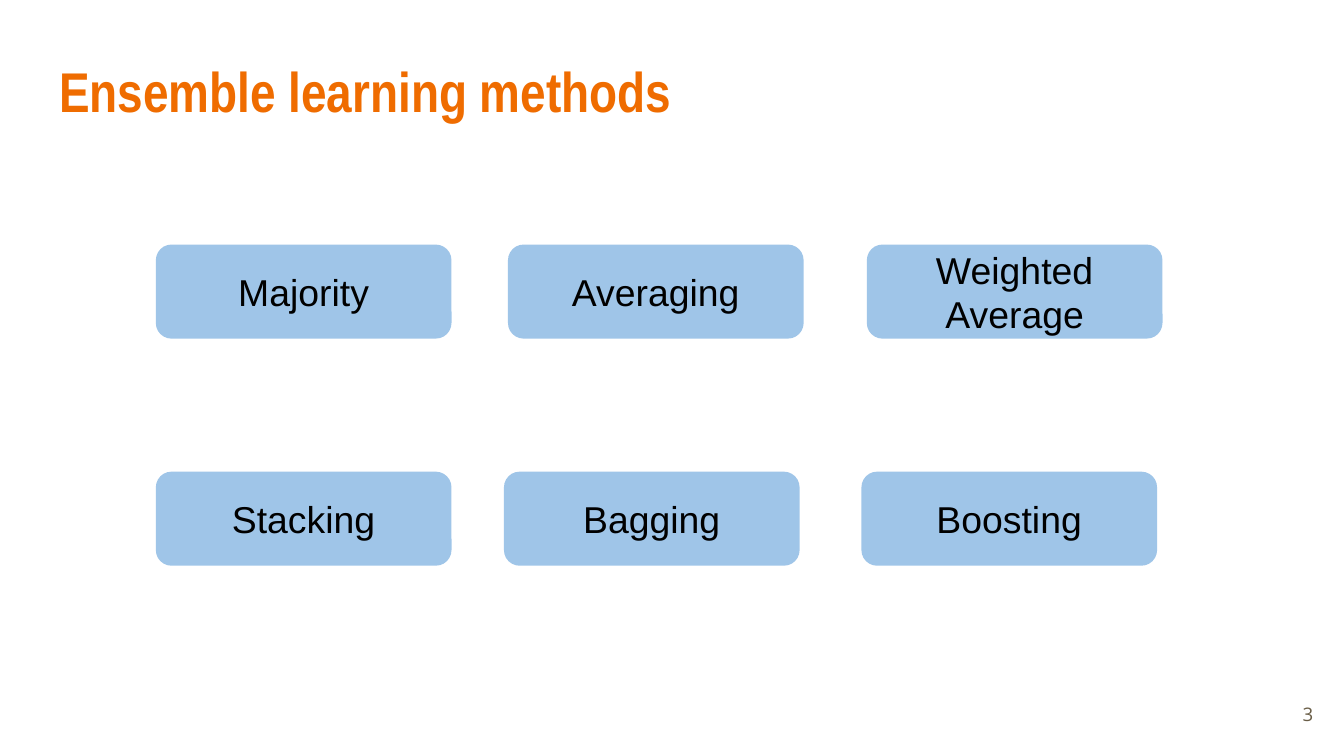
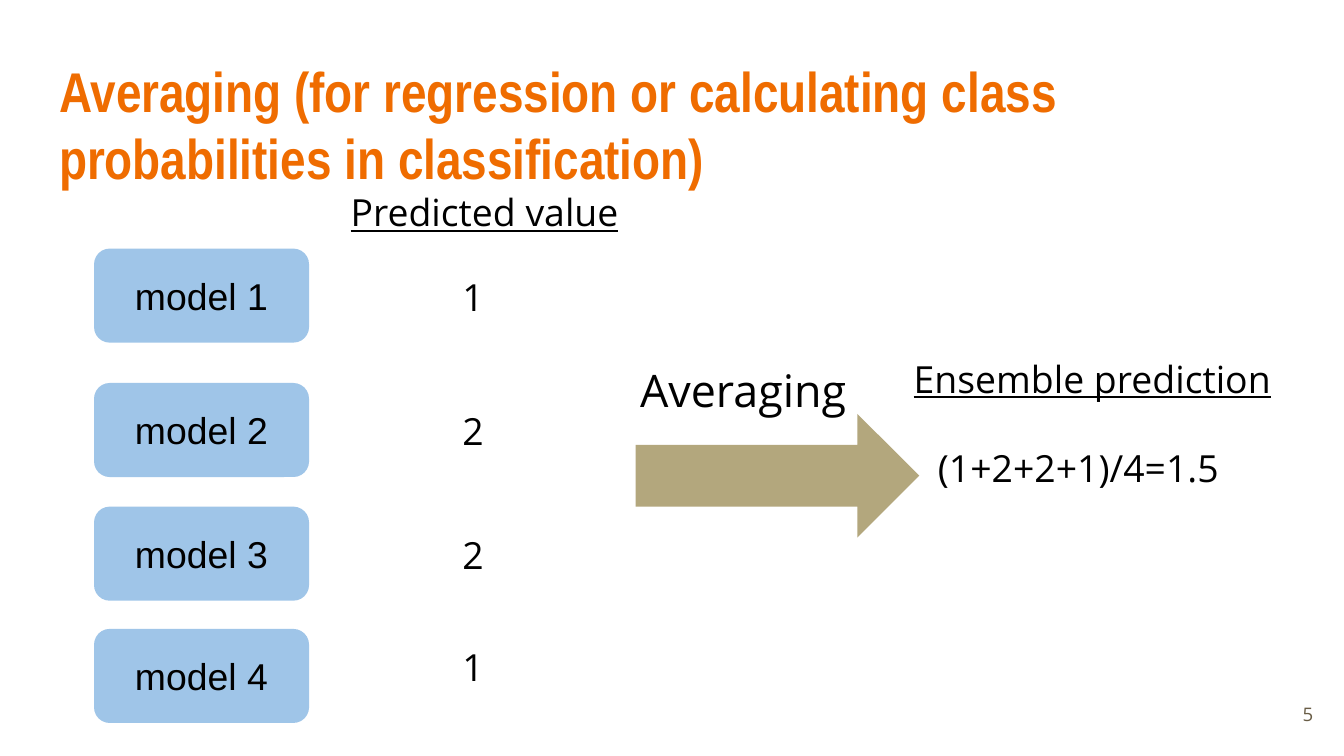
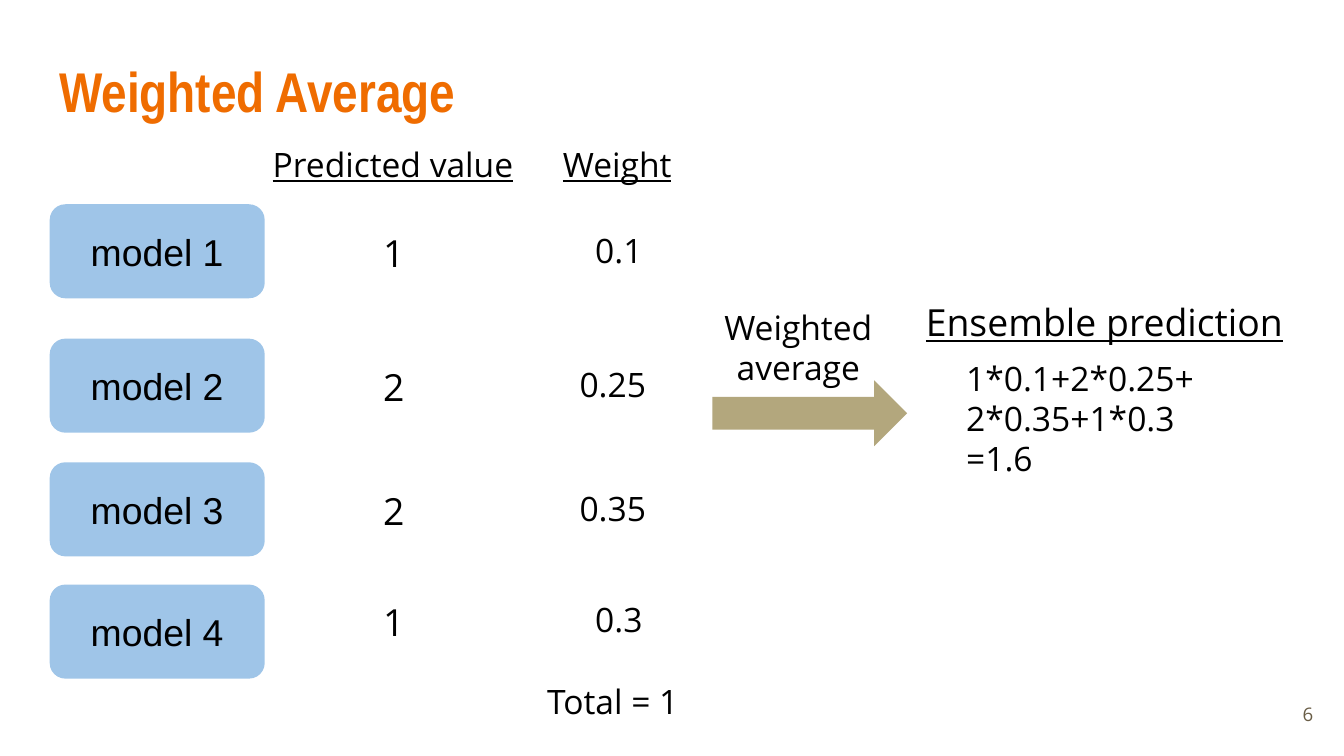
"""Build three slides on ensemble learning methods."""
from dataclasses import dataclass

from pptx import Presentation
from pptx.dml.color import RGBColor
from pptx.enum.shapes import MSO_SHAPE as Preset
from pptx.enum.text import MSO_ANCHOR as Anchor, MSO_AUTO_SIZE as AutoSize, PP_ALIGN as Align
from pptx.presentation import Presentation as Deck
from pptx.slide import Slide
from pptx.text.text import TextFrame
from pptx.util import Inches, Pt


@dataclass(frozen=True)
class TextStyle:
    size: int
    font: str = "Open Sans"
    color: str = "000000"
    bold: bool = False
    underline: bool = False
    align: Align = Align.LEFT
    anchor: Anchor = Anchor.TOP


@dataclass(frozen=True)
class Theme:
    card_fill: str = "9FC5E8"
    arrow_fill: str = "B3A77D"
    title: TextStyle = TextStyle(30, "Arial Narrow", "EF6C00", bold=True)
    card: TextStyle = TextStyle(20, "Arial", align=Align.CENTER, anchor=Anchor.MIDDLE)
    number: TextStyle = TextStyle(10, color="695D46", align=Align.RIGHT, anchor=Anchor.MIDDLE)
    heading: TextStyle = TextStyle(20, underline=True)
    small_heading: TextStyle = TextStyle(18, underline=True)
    value: TextStyle = TextStyle(20, align=Align.CENTER)
    small_value: TextStyle = TextStyle(18, align=Align.CENTER)
    arrow_label: TextStyle = TextStyle(24, align=Align.CENTER)
    formula: TextStyle = TextStyle(20)
    small_formula: TextStyle = TextStyle(18)


@dataclass(frozen=True)
class Area:
    left: float
    top: float
    width: float
    height: float

    def lengths(self) -> tuple[Inches, ...]:
        return tuple(map(Inches, (self.left, self.top, self.width, self.height)))


@dataclass(frozen=True)
class Label:
    text: str
    area: Area
    style: TextStyle


THEME = Theme()
SLIDE_WIDTH = Inches(10)
SLIDE_HEIGHT = SLIDE_WIDTH * 9 // 16
TITLE_AREA = Area(0.34, 0.32, 9.32, 1.25)
NUMBER_AREA = Area(9.27, 5.1, 0.6, 0.43)
CARD_HEIGHT = 0.7
MODEL_STEPS = (0, 1, 1.92, 2.83)
VALUE_STEPS = (0.09, 1.09, 2.01, 2.84)
PREDICTIONS = ("1", "2", "2", "1")


def write(frame: TextFrame, text: str, style: TextStyle) -> None:
    frame.text = text
    frame.word_wrap = True
    frame.auto_size = AutoSize.NONE
    frame.vertical_anchor = style.anchor
    frame.margin_left = frame.margin_right = Inches(0.1)
    frame.margin_top = frame.margin_bottom = Inches(0.1)
    for para in frame.paragraphs:
        para.alignment = style.align
        for span in para.runs:
            span.font.size = Pt(style.size)
            span.font.name = style.font
            span.font.bold = style.bold
            span.font.underline = style.underline
            span.font.color.rgb = RGBColor.from_string(style.color)


def add_label(page: Slide, label: Label) -> None:
    box = page.shapes.add_textbox(*label.area.lengths())
    write(box.text_frame, label.text, label.style)


def add_block(page: Slide, preset: Preset, area: Area, fill: str, text: str = "") -> None:
    block = page.shapes.add_shape(preset, *area.lengths())
    block.shadow.inherit = False
    block.fill.solid()
    block.fill.fore_color.rgb = RGBColor.from_string(fill)
    block.line.fill.background()
    if text:
        write(block.text_frame, text, THEME.card)


def add_card(page: Slide, text: str, left: float, top: float, width: float) -> None:
    area = Area(left, top, width, CARD_HEIGHT)
    add_block(page, Preset.ROUNDED_RECTANGLE, area, THEME.card_fill, text)


def add_page(deck: Deck, title: str, number: int) -> Slide:
    page = deck.slides.add_slide(deck.slide_layouts[5])
    heading = page.shapes.title
    heading.left, heading.top, heading.width, heading.height = TITLE_AREA.lengths()
    write(heading.text_frame, title, THEME.title)
    add_label(page, Label(str(number), NUMBER_AREA, THEME.number))
    return page


def add_models(page: Slide, left: float, top: float, value_left: float) -> None:
    for index, step in enumerate(MODEL_STEPS, start=1):
        add_card(page, f"model {index}", left, top + step, 1.6)
    for text, step in zip(PREDICTIONS, VALUE_STEPS):
        add_label(page, Label(text, Area(value_left, top + step, 0.5, 0.49), THEME.value))


def add_diagram(page: Slide, arrow: Area, labels: list[Label]) -> None:
    add_block(page, Preset.RIGHT_ARROW, arrow, THEME.arrow_fill)
    for label in labels:
        add_label(page, label)


def build_methods(deck: Deck) -> None:
    page = add_page(deck, "Ensemble learning methods", 3)
    rows = (
        (1.82, (1.16, 3.78, 6.45), ("Majority", "Averaging", "Weighted Average")),
        (3.51, (1.16, 3.75, 6.41), ("Stacking", "Bagging", "Boosting")),
    )
    for top, lefts, methods in rows:
        for left, method in zip(lefts, methods):
            add_card(page, method, left, top, 2.2)


def build_averaging(deck: Deck) -> None:
    title = "Averaging (for regression or calculating class probabilities in classification)"
    page = add_page(deck, title, 5)
    add_models(page, left=0.7, top=1.85, value_left=3.27)
    add_diagram(page, Area(4.73, 3.08, 2.11, 0.92), [
        Label("Predicted value", Area(2.51, 1.31, 2.38, 0.43), THEME.heading),
        Label("Averaging", Area(4.63, 2.6, 1.8, 0.55), THEME.arrow_label),
        Label("Ensemble prediction", Area(6.7, 2.55, 2.96, 0.43), THEME.heading),
        Label("(1+2+2+1)/4=1.5", Area(6.88, 3.21, 2.38, 0.55), THEME.formula),
    ])


def build_weighted(deck: Deck) -> None:
    page = add_page(deck, "Weighted Average", 6)
    top = 1.52
    add_models(page, left=0.37, top=top, value_left=2.68)
    formula = "1*0.1+2*0.25+\n2*0.35+1*0.3\n=1.6"
    add_diagram(page, Area(5.3, 2.83, 1.45, 0.49), [
        Label("Predicted value", Area(1.93, 0.97, 2.11, 0.43), THEME.small_heading),
        Label("Weight", Area(4.09, 0.97, 1.15, 0.43), THEME.small_heading),
        Label("Weighted average", Area(5.04, 2.18, 1.8, 0.55), THEME.small_value),
        Label("Ensemble prediction", Area(6.79, 2.13, 2.96, 0.43), THEME.heading),
        Label(formula, Area(7.09, 2.56, 2.05, 1.03), THEME.small_formula),
        Label("Total = 1", Area(3.66, 4.97, 1.8, 0.55), THEME.small_value),
    ])
    for weight, step in zip(("0.1", "0.25", "0.35", "0.3"), VALUE_STEPS):
        left, width = (4.27, 0.67) if len(weight) == 3 else (4.19, 0.74)
        add_label(page, Label(weight, Area(left, top + step, width, 0.49), THEME.small_value))


def main() -> None:
    deck = Presentation()
    deck.slide_width, deck.slide_height = SLIDE_WIDTH, SLIDE_HEIGHT
    build_methods(deck)
    build_averaging(deck)
    build_weighted(deck)
    deck.save("out.pptx")


if __name__ == "__main__":
    main()
